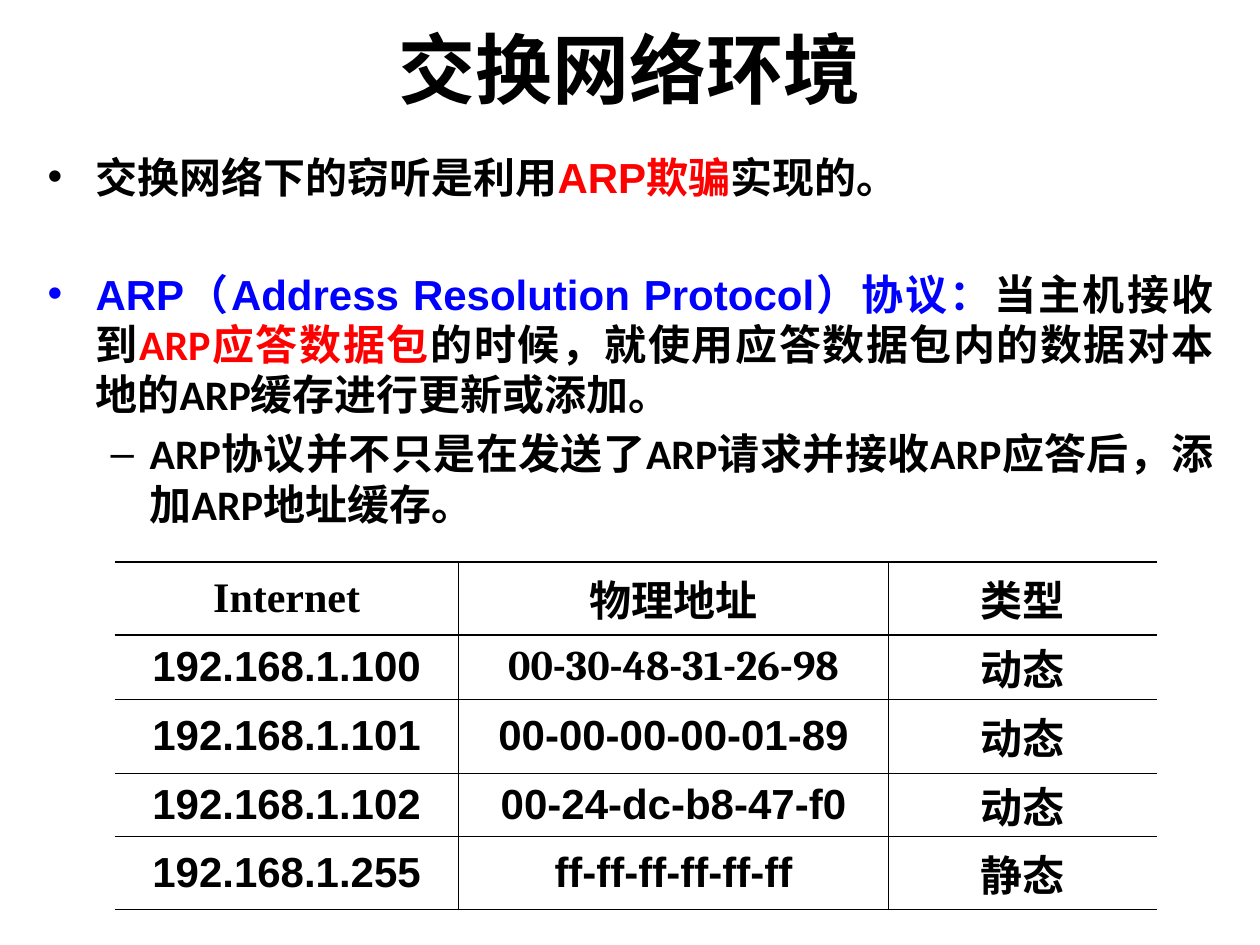
import pptx
import pptx.dml.color
import pptx.enum.text
import pptx.oxml
import pptx.oxml.ns
import pptx.util
from lxml import etree
from pptx.util import Inches

BLACK = pptx.dml.color.RGBColor(0x00, 0x00, 0x00)
RED = pptx.dml.color.RGBColor(0xFF, 0x00, 0x00)
BLUE = pptx.dml.color.RGBColor(0x00, 0x00, 0xFF)

TITLE_ONLY_LAYOUT = 5
BODY_SIZE = 24

# Each paragraph: level, space before in points, runs of (text, font, colour)
BULLETS = [
    (0, 0, [("交换网络下的窃听是利用", "Arial", BLACK),
            ("ARP欺骗", "Arial", RED),
            ("实现的。", "Arial", BLACK)]),
    (0, 38, [("ARP（Address Resolution Protocol）协议：", "Arial", BLUE),
             ("当主机接收到", "Calibri", BLACK),
             ("ARP应答数据包", "Calibri", RED),
             ("的时候，就使用应答数据包内的数据对本地的ARP缓存进行更新或添加。", "Calibri", BLACK)]),
    (1, 4.8, [("ARP协议并不只是在发送了ARP请求并接收ARP应答后，添加ARP地址缓存。",
               "Calibri", BLACK)]),
]
# Bullet character, left margin and hanging indent for each level
BULLET_STYLES = [("•", Inches(0.38), Inches(0.38)), ("–", Inches(0.81), Inches(0.31))]

ARP_ROWS = [
    ("Internet", "物理地址", "类型"),
    ("192.168.1.100", "00-30-48-31-26-98", "动态"),
    ("192.168.1.101", "00-00-00-00-01-89", "动态"),
    ("192.168.1.102", "00-24-dc-b8-47-f0", "动态"),
    ("192.168.1.255", "ff-ff-ff-ff-ff-ff", "静态"),
]
COLUMN_WIDTHS = [2.73, 3.41, 2.13]
ROW_HEIGHTS = [0.58, 0.51, 0.59, 0.5, 0.58]
HEADER_FONT = "Times New Roman"
SPECIAL_FONTS = {(1, 1): "Cambria"}


def add_run(paragraph, text, font_name, size, color=BLACK):
    run = paragraph.add_run()
    run.text = text
    run.font.name = font_name
    run.font.size = pptx.util.Pt(size)
    run.font.bold = True
    run.font.color.rgb = color


def place_title(slide, left, top, width, height):
    title = slide.shapes.title
    title.left, title.top, title.width, title.height = left, top, width, height
    title.text_frame.vertical_anchor = pptx.enum.text.MSO_ANCHOR.MIDDLE
    paragraph = title.text_frame.paragraphs[0]
    paragraph.alignment = pptx.enum.text.PP_ALIGN.CENTER
    add_run(paragraph, "交换网络环境", "Calibri", 44)


def set_bullet(paragraph, level):
    character, margin, hanging = BULLET_STYLES[level]
    paragraph.level = level
    properties = paragraph._p.get_or_add_pPr()
    properties.set("marL", str(margin))
    properties.set("indent", str(-hanging))
    for tag, attribute, value in (("a:buFont", "typeface", "Arial"),
                                  ("a:buChar", "char", character)):
        element = etree.SubElement(properties, pptx.oxml.ns.qn(tag))
        element.set(attribute, value)


def add_bullets(slide, left, top, width, height):
    frame = slide.shapes.add_textbox(left, top, width, height).text_frame
    frame.word_wrap = True
    for index, (level, space_before, runs) in enumerate(BULLETS):
        paragraph = frame.add_paragraph() if index else frame.paragraphs[0]
        set_bullet(paragraph, level)
        paragraph.alignment = pptx.enum.text.PP_ALIGN.JUSTIFY
        paragraph.space_before = pptx.util.Pt(space_before)
        for text, font_name, color in runs:
            add_run(paragraph, text, font_name, BODY_SIZE, color)


def set_borders(cell, visible_sides):
    """Draw thin black lines on the given sides and clear the others."""
    properties = cell._tc.get_or_add_tcPr()
    for index, side in enumerate("LRTB"):
        line = etree.Element(pptx.oxml.ns.qn(f"a:ln{side}"))
        line.set("w", str(pptx.util.Pt(1)))
        if side in visible_sides:
            fill = etree.SubElement(line, pptx.oxml.ns.qn("a:solidFill"))
            etree.SubElement(fill, pptx.oxml.ns.qn("a:srgbClr")).set("val", str(BLACK))
        else:
            etree.SubElement(line, pptx.oxml.ns.qn("a:noFill"))
        properties.insert(index, line)


def fill_cell(cell, text, font_name, visible_sides):
    cell.fill.background()
    set_borders(cell, visible_sides)
    cell.margin_left = cell.margin_right = Inches(0.07)
    cell.margin_top = cell.margin_bottom = 0
    cell.vertical_anchor = pptx.enum.text.MSO_ANCHOR.MIDDLE
    paragraph = cell.text_frame.paragraphs[0]
    paragraph.alignment = pptx.enum.text.PP_ALIGN.CENTER
    add_run(paragraph, text, font_name, BODY_SIZE)


def add_arp_table(slide, left, top, width, height):
    table = slide.shapes.add_table(
        len(ROW_HEIGHTS), len(COLUMN_WIDTHS), left, top, width, height).table
    table.horz_banding = False
    for column, column_width in zip(table.columns, COLUMN_WIDTHS):
        column.width = Inches(column_width)
    for row, row_height in zip(table.rows, ROW_HEIGHTS):
        row.height = Inches(row_height)
    sides_by_column = ["RTB", "LRTB", "LTB"]
    for row_index, texts in enumerate(ARP_ROWS):
        row_font = "Arial" if row_index else HEADER_FONT
        for column_index, text in enumerate(texts):
            font_name = SPECIAL_FONTS.get((row_index, column_index), row_font)
            fill_cell(table.cell(row_index, column_index), text, font_name,
                      sides_by_column[column_index])


def main():
    presentation = pptx.Presentation()
    presentation.slide_width = Inches(10)
    presentation.slide_height = Inches(7.5)
    slide = presentation.slides.add_slide(presentation.slide_layouts[TITLE_ONLY_LAYOUT])
    place_title(slide, Inches(0.12), Inches(0), Inches(9.76), Inches(1.07))
    add_arp_table(slide, Inches(0.91), Inches(4.46), Inches(8.27), Inches(2.76))
    add_bullets(slide, Inches(0.28), Inches(1.15), Inches(9.45), Inches(3.15))
    presentation.save("out.pptx")


if __name__ == "__main__":
    main()
